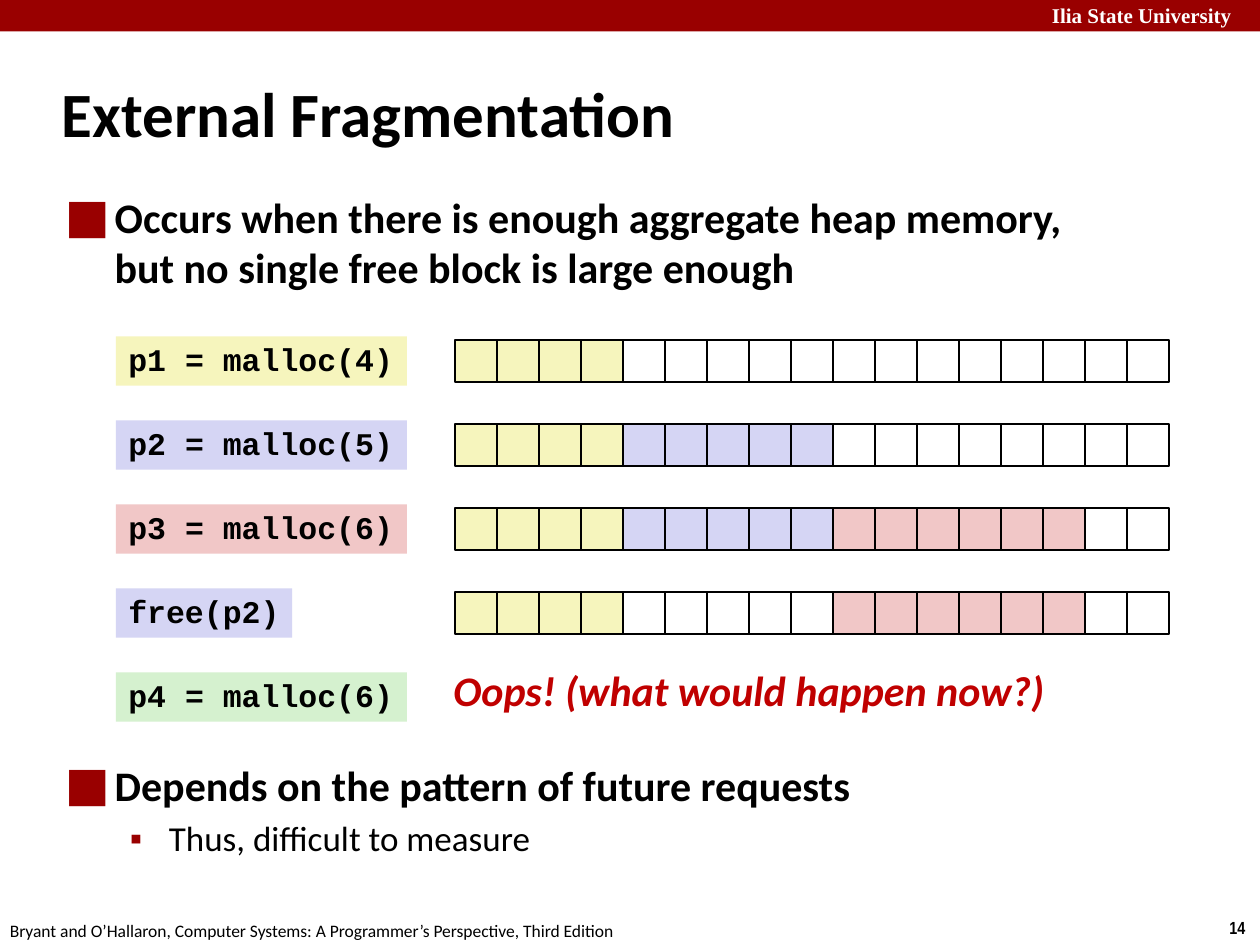
import pptx
import pptx.util
import pptx.dml.color
import pptx.enum.shapes
import pptx.enum.text
import lxml.etree

INK = {
    "black": "000000", "white": "FFFFFF", "brand": "990000", "alert": "C00000",
    "p1": "F6F5BD", "p2": "D5D5F4", "p3": "F1C7C7", "p4": "D5F1CF",
}
CELL = 1 / 3        # side of one heap word
PITCH = 2 * CELL    # step from one row to the next
LEFT, TOP = 3.61, 2.7
RECT = pptx.enum.shapes.MSO_SHAPE.RECTANGLE
ALIGN = pptx.enum.text.PP_ALIGN
ANCHOR = pptx.enum.text.MSO_ANCHOR
FIT = pptx.enum.text.MSO_AUTO_SIZE

# Each row: call, colour, its width, and the heap as (owner, words) runs
ROWS = [
    ("p1 = malloc(4)", "p1", 2.31, [("p1", 4), ("white", 13)]),
    ("p2 = malloc(5)", "p2", 2.31, [("p1", 4), ("p2", 5), ("white", 8)]),
    ("p3 = malloc(6)", "p3", 2.31,
     [("p1", 4), ("p2", 5), ("p3", 6), ("white", 2)]),
    ("free(p2)", "p2", 1.4,
     [("p1", 4), ("white", 5), ("p3", 6), ("white", 2)]),
    ("p4 = malloc(6)", "p4", 2.31, []),
]


def hue(name):
    return pptx.dml.color.RGBColor.from_string(INK[name])


def place(shape, box):
    shape.left, shape.top, shape.width, shape.height = map(
        pptx.util.Inches, box)


def style(par, face, size, ink="black", bold=False, slant=False):
    par.alignment = ALIGN.LEFT
    font = par.font
    font.name, font.size = face, pptx.util.Pt(size)
    font.bold, font.italic = bold, slant
    font.color.rgb = hue(ink)


def block(shapes, box, fill, line=None):
    shape = shapes.add_shape(RECT, *map(pptx.util.Inches, box))
    shape.shadow.inherit = False
    shape.fill.solid()
    shape.fill.fore_color.rgb = hue(fill)
    if line:
        shape.line.color.rgb = hue(line)
        shape.line.width = pptx.util.Pt(1)
    else:
        shape.line.fill.background()
    return shape


def note(slide, box, text, *look, **more):
    shape = slide.shapes.add_textbox(*map(pptx.util.Inches, box))
    par = shape.text_frame.paragraphs[0]
    par.text = text
    style(par, *look, **more)


def bullet(par, mark, left, hang):
    props = par._p.get_or_add_pPr()
    props.set("marL", str(pptx.util.Inches(left)))
    props.set("indent", str(-pptx.util.Inches(hang)))
    space = "{http://schemas.openxmlformats.org/drawingml/2006/main}"
    tint = lxml.etree.SubElement(props, space + "buClr")
    lxml.etree.SubElement(tint, space + "srgbClr", val=INK["brand"])
    lxml.etree.SubElement(props, space + "buChar", char=mark)


def frame(slide):
    # Top band, footer and page number
    block(slide.shapes, (0, 0, 10, 0.25), "brand")
    note(slide, (8.25, -0.03, 1.82, 0.3), "Ilia State University",
         "Times New Roman", 12, "white", bold=True)
    note(slide, (9.66, 7.23, 0.34, 0.27), "14", "Arial Narrow", 10, bold=True)
    note(slide, (-0.02, 7.25, 5.08, 0.27),
         "Bryant and O’Hallaron, Computer Systems: "
         "A Programmer’s Perspective, Third Edition", "Calibri", 10)


def title(slide, box):
    shape = slide.shapes.title
    place(shape, box)
    text = shape.text_frame
    text.auto_size = FIT.NONE
    text.vertical_anchor = ANCHOR.MIDDLE
    par = text.paragraphs[0]
    par.text = "External Fragmentation"
    style(par, "Calibri", 36, bold=True)


def points(slide, box):
    # The wide space before the second point leaves room for the heap rows
    items = [
        ("Occurs when there is enough aggregate heap memory, "
         "but no single free block is large enough", 0, 0),
        ("Depends on the pattern of future requests", 0, 268),
        ("Thus, difficult to measure", 1, 4),
    ]
    levels = [("⬛", 0.38, 0.38, 24), ("▪", 0.81, 0.31, 20)]
    shape = slide.placeholders[1]
    place(shape, box)
    text = shape.text_frame
    text.auto_size = FIT.NONE
    for i, (words, level, before) in enumerate(items):
        par = text.add_paragraph() if i else text.paragraphs[0]
        par.text, par.level = words, level
        par.line_spacing = 0.98
        par.space_before = pptx.util.Pt(before)
        mark, left, hang, size = levels[level]
        bullet(par, mark, left, hang)
        style(par, "Calibri", size, bold=level == 0)


def call(slide, box, text, fill):
    shape = block(slide.shapes, box, fill)
    shape.text_frame.word_wrap = False
    shape.text_frame.vertical_anchor = ANCHOR.TOP
    par = shape.text_frame.paragraphs[0]
    par.text = text
    par.line_spacing = 0.94
    style(par, "Courier New", 18, bold=True)


def heap(slide, left, top, runs):
    group = slide.shapes.add_group_shape()
    owners = [owner for owner, count in runs for _ in range(count)]
    for i, owner in enumerate(owners):
        block(group.shapes, (left + i * CELL, top, CELL, CELL), owner, "black")


def trace(slide, left, top):
    for i, (text, fill, width, runs) in enumerate(ROWS):
        y = top + i * PITCH
        if runs:
            heap(slide, left, y, runs)
        call(slide, (0.92, y - 0.03, width, 0.39), text, fill)
    note(slide, (left - 0.11, y - 0.14, 4.93, 0.5),
         "Oops! (what would happen now?)", "Calibri", 24, "alert",
         bold=True, slant=True)


def main():
    deck = pptx.Presentation()
    deck.slide_width = pptx.util.Inches(10)
    deck.slide_height = pptx.util.Inches(7.5)
    slide = deck.slides.add_slide(deck.slide_layouts[1])
    frame(slide)
    title(slide, (0.39, 0.48, 8.3, 0.83))
    points(slide, (0.43, 1.49, 8.64, 5.44))
    trace(slide, LEFT, TOP)
    deck.save("out.pptx")


if __name__ == "__main__":
    main()
